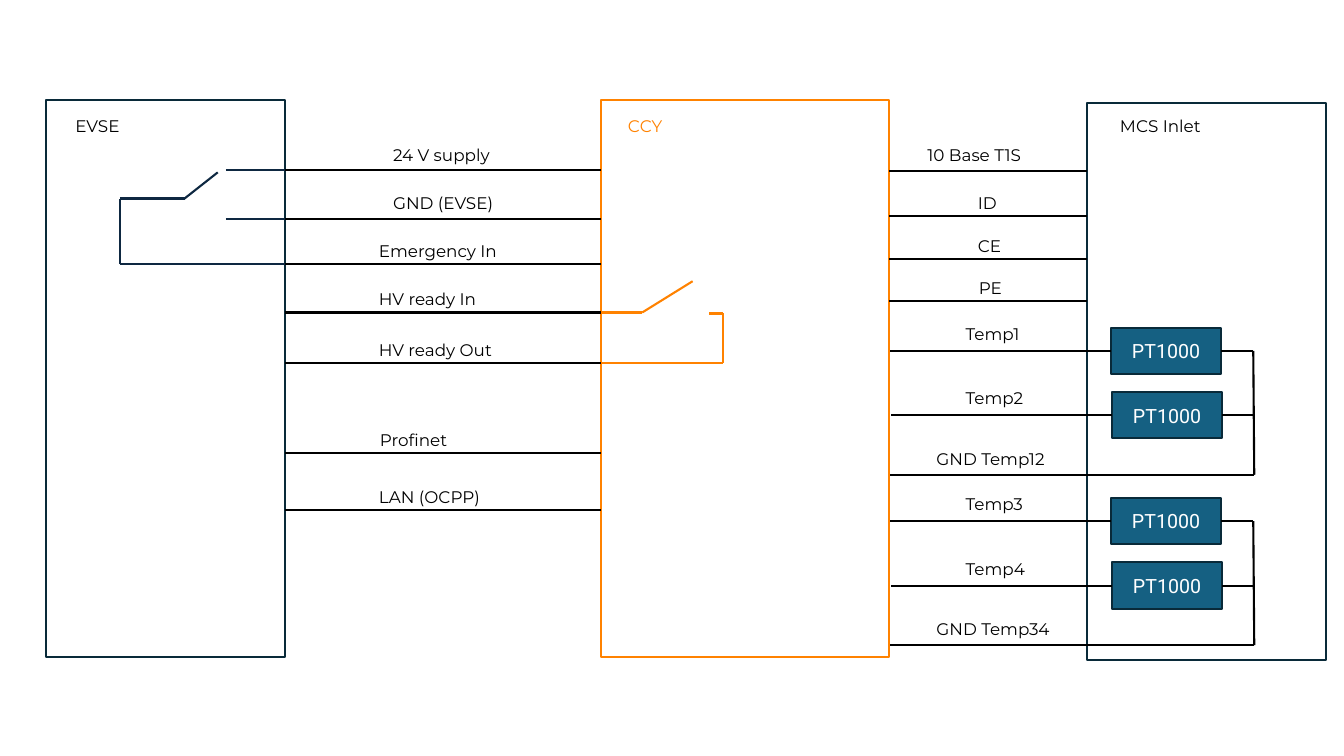
import pptx
import pptx.dml.color
import pptx.enum.shapes
import pptx.enum.text
import pptx.util
from dataclasses import dataclass
from lxml import etree

PX = 9144  # EMU in one px, 100 px to the inch


@dataclass(frozen=True)
class Theme:
    black: str = "000000"
    white: str = "FFFFFF"
    orange: str = "FF8200"
    navy: str = "0E2841"
    outline: str = "092A39"
    sensor: str = "156082"
    label_font: str = "Montserrat"
    sensor_font: str = "Roboto"
    label_size: int = 12
    sensor_size: int = 14
    line_width: float = 1.5


def color(code):
    return pptx.dml.color.RGBColor.from_string(code)


class Diagram:
    def __init__(self, slide, theme):
        self.slide = slide
        self.theme = theme

    def add_run(self, paragraph, text, font, size, code):
        run = paragraph.add_run()
        run.text = text
        run.font.name = font
        run.font.size = pptx.util.Pt(size)
        run.font.color.rgb = color(code)

    def box(self, left, top, width, height, line, fill=None):
        shape = self.slide.shapes.add_shape(
            pptx.enum.shapes.MSO_SHAPE.RECTANGLE,
            left * PX, top * PX, width * PX, height * PX)
        shape.shadow.inherit = False
        if fill:
            shape.fill.solid()
            shape.fill.fore_color.rgb = color(fill)
        else:
            shape.fill.background()
        shape.line.color.rgb = color(line)
        shape.line.width = pptx.util.Pt(self.theme.line_width)
        return shape

    def sensor(self, left, top):
        theme = self.theme
        shape = self.box(left, top, 109, 46, theme.outline, theme.sensor)
        shape.text_frame.vertical_anchor = pptx.enum.text.MSO_ANCHOR.MIDDLE
        paragraph = shape.text_frame.paragraphs[0]
        paragraph.alignment = pptx.enum.text.PP_ALIGN.CENTER
        self.add_run(paragraph, "PT1000", theme.sensor_font,
                     theme.sensor_size, theme.white)
        return shape

    def label(self, text, left, top, width, code=None):
        textbox = self.slide.shapes.add_textbox(
            left * PX, top * PX, width * PX, 30 * PX)
        frame = textbox.text_frame
        frame.word_wrap = False
        frame.auto_size = pptx.enum.text.MSO_AUTO_SIZE.SHAPE_TO_FIT_TEXT
        self.add_run(frame.paragraphs[0], text, self.theme.label_font,
                     self.theme.label_size, code or self.theme.black)

    def wire(self, start, end, code=None):
        connector = self.slide.shapes.add_connector(
            pptx.enum.shapes.MSO_CONNECTOR.STRAIGHT,
            start[0] * PX, start[1] * PX, end[0] * PX, end[1] * PX)
        connector.line.color.rgb = color(code or self.theme.black)
        connector.line.width = pptx.util.Pt(self.theme.line_width)
        etree.SubElement(connector._element.spPr,
                         pptx.oxml.ns.qn("a:effectLst"))
        return connector

    def wires(self, points, code):
        """Join consecutive points with straight wires."""
        for start, end in zip(points, points[1:]):
            self.wire(start, end, code)

    def sensor_pair(self, top, first_number):
        """Two sensors with their signal wires and shared ground return."""
        ground = top + 146
        for index in range(2):
            sensor_top = top + 64 * index
            middle = sensor_top + 23
            sensor = self.sensor(1102 + index, sensor_top)
            signal = self.wire((883 + index, middle), (1102 + index, middle))
            signal.end_connect(sensor, 1)
            lead = self.wire((1211 + index, middle), (1243 + index, middle))
            lead.begin_connect(sensor, 3)
            self.label(f"Temp{first_number + index}", 948,
                       sensor_top - 9, 82)
        self.wires([(1243, top + 23), (1244, ground), (883, ground)],
                   self.theme.black)
        self.label(f"GND Temp{first_number}{first_number + 1}",
                   919, ground - 31, 140)


# text, wire height, label left, label top, label width
EVSE_SIGNALS = [
    ("24 V supply", 169, 380, 139, 127),
    ("GND (EVSE)", 217, 380, 186, 129),
    ("Emergency In", 262, 366, 234, 147),
    ("HV ready In", 310, 366, 282, 128),
    ("HV ready Out", 360, 366, 332, 143),
    ("Profinet", 449, 367, 421, 93),
    ("LAN (OCPP)", 506, 366, 478, 129),
]
INLET_SIGNALS = [
    ("10 Base T1S", 170, 910, 139, 135),
    ("ID", 214, 960, 186, 40),
    ("CE", 257, 960, 229, 45),
    ("PE", 299, 961, 271, 44),
]


def main():
    presentation = pptx.Presentation()
    presentation.slide_width = 1333 * PX
    presentation.slide_height = 750 * PX
    slide = presentation.slides.add_slide(presentation.slide_layouts[6])
    theme = Theme()
    diagram = Diagram(slide, theme)

    diagram.box(596, 99, 286, 553, theme.orange)
    diagram.box(46, 99, 237, 553, theme.outline)
    diagram.box(1078, 102, 237, 553, theme.outline)
    diagram.label("EVSE", 65, 110, 70)
    diagram.label("CCY", 613, 110, 60, theme.orange)
    diagram.label("MCS Inlet", 1101, 110, 109)

    for signals, left, right in ((EVSE_SIGNALS, 283, 596),
                                 (INLET_SIGNALS, 882, 1078)):
        for text, height, label_left, label_top, label_width in signals:
            diagram.wire((left, height), (right, height))
            diagram.label(text, label_left, label_top, label_width)

    emergency_switch = [(283, 262), (119, 262), (119, 197),
                        (183, 197), (216, 171)]
    diagram.wires(emergency_switch, theme.navy)
    for height in (169, 217):
        diagram.wire((224, height), (283, height), theme.navy)

    ready_switch = [(596, 310), (637, 310), (687, 279)]
    ready_return = [(596, 360), (717, 360), (717, 311), (703, 311)]
    diagram.wires(ready_switch, theme.orange)
    diagram.wires(ready_return, theme.orange)

    for top, first_number in ((325, 1), (494, 3)):
        diagram.sensor_pair(top, first_number)

    presentation.save("out.pptx")


if __name__ == "__main__":
    main()
